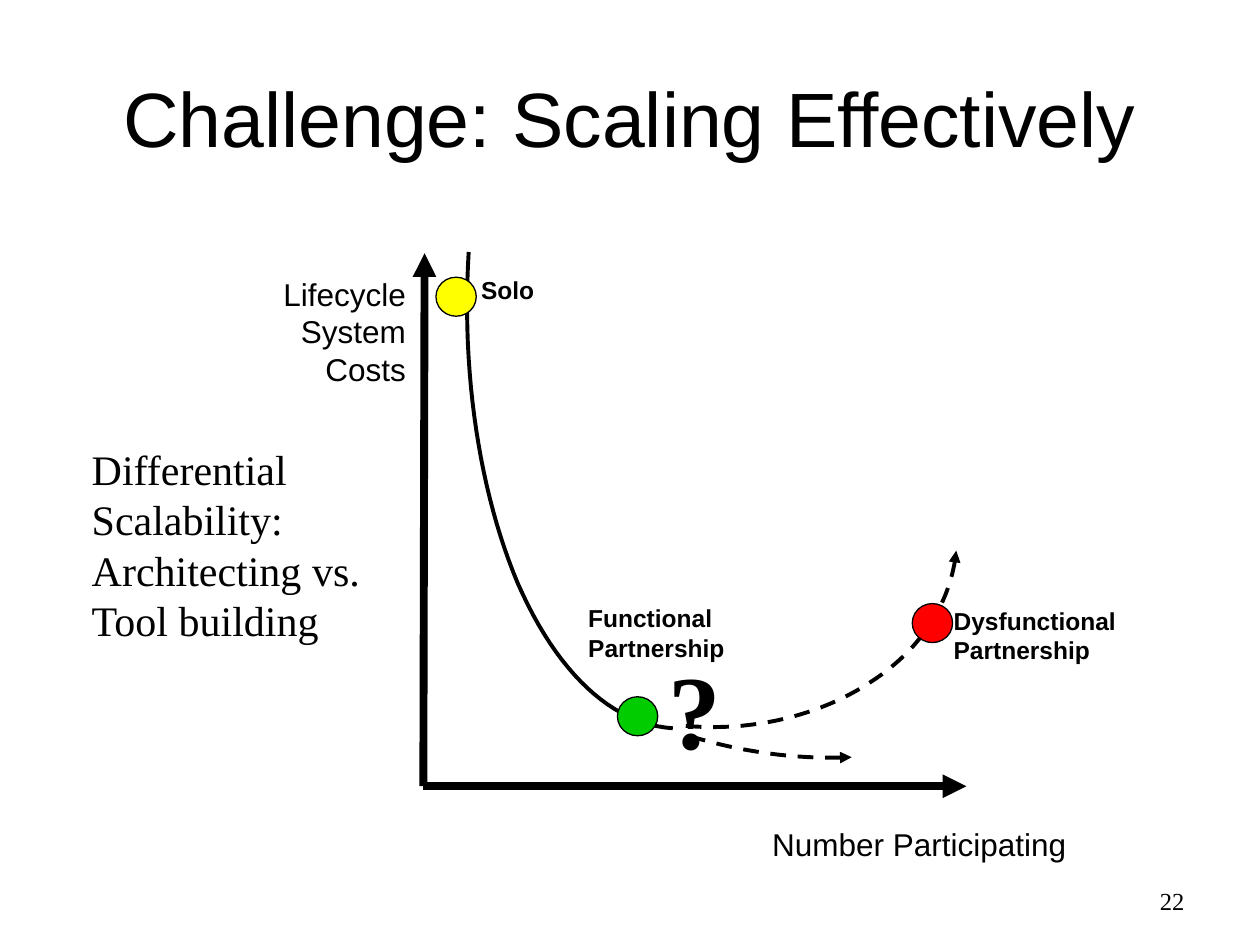
from dataclasses import dataclass

from lxml.etree import SubElement
from pptx import Presentation
from pptx.dml.color import RGBColor
from pptx.enum.dml import MSO_LINE
from pptx.enum.shapes import MSO_CONNECTOR, MSO_SHAPE
from pptx.enum.text import MSO_ANCHOR, PP_ALIGN
from pptx.oxml.ns import qn
from pptx.util import Inches, Pt


@dataclass(frozen=True)
class Theme:
    ink: RGBColor = RGBColor(0, 0, 0)
    solo: RGBColor = RGBColor(0xFF, 0xFF, 0)
    functional: RGBColor = RGBColor(0, 0xCC, 0)
    dysfunctional: RGBColor = RGBColor(0xFF, 0, 0)
    sans: str = "Arial"
    serif: str = "Times New Roman"
    title: int = 44
    mark: int = 60
    note: int = 24
    axis: int = 18
    label: int = 14
    axis_width: float = 4.5
    curve_width: float = 2.25
    dot_width: float = 0.75


def bezier(start, *segments, steps=24):
    """Sample a chain of cubic Bezier segments, each two controls and an end."""
    points = [start]
    for c1, c2, end in segments:
        for i in range(1, steps + 1):
            t = i / steps
            u = 1 - t
            points.append(tuple(
                u**3 * a + 3 * u * u * t * b + 3 * u * t * t * c + t**3 * d
                for a, b, c, d in zip(start, c1, c2, end)))
        start = end
    return points


class SlideBuilder:
    def __init__(self, prs, theme):
        self.theme = theme
        self.slide = prs.slides.add_slide(prs.slide_layouts[5])

    def title(self, text, x, y, w, h):
        sp = self.slide.shapes.title
        sp.left, sp.top, sp.width, sp.height = map(Inches, (x, y, w, h))
        tf = sp.text_frame
        tf.text = text
        tf.vertical_anchor = MSO_ANCHOR.MIDDLE
        self._format(tf.paragraphs[0], self.theme.title, self.theme.sans,
                     PP_ALIGN.CENTER)

    def text(self, lines, x, y, w, h, size, font, bold=False,
             align=PP_ALIGN.LEFT):
        box = self.slide.shapes.add_textbox(*map(Inches, (x, y, w, h)))
        tf = box.text_frame
        tf.word_wrap = False
        tf.text = "\n".join(lines)
        for p in tf.paragraphs:
            self._format(p, size, font, align, bold)

    def axis(self, start, end):
        line = self.slide.shapes.add_connector(
            MSO_CONNECTOR.STRAIGHT, *map(Inches, (*start, *end)))
        SubElement(line._element.spPr, qn("a:effectLst"))
        self._stroke(line, self.theme.axis_width)
        self._arrow(line, "a:tailEnd")

    def curve(self, points, dashed_arrow=False):
        """Draw an open curve; a dashed one has its arrowhead at the first point."""
        emu = [(Inches(x), Inches(y)) for x, y in points]
        builder = self.slide.shapes.build_freeform(*emu[0])
        builder.add_line_segments(emu[1:], close=False)
        sp = builder.convert_to_shape()
        sp.shadow.inherit = False
        sp.fill.background()
        self._stroke(sp, self.theme.curve_width)
        if dashed_arrow:
            sp.line.dash_style = MSO_LINE.DASH
            self._arrow(sp, "a:headEnd")

    def dot(self, x, y, color):
        sp = self.slide.shapes.add_shape(
            MSO_SHAPE.OVAL, *map(Inches, (x, y, 0.32, 0.31)))
        sp.shadow.inherit = False
        sp.fill.solid()
        sp.fill.fore_color.rgb = color
        self._stroke(sp, self.theme.dot_width)

    def _format(self, p, size, font, align, bold=False):
        p.alignment = align
        p.font.size = Pt(size)
        p.font.name = font
        p.font.bold = bold
        p.font.color.rgb = self.theme.ink

    def _stroke(self, sp, width):
        sp.line.color.rgb = self.theme.ink
        sp.line.width = Pt(width)

    def _arrow(self, sp, end):
        SubElement(sp.line._get_or_add_ln(), qn(end), type="triangle")


def main():
    prs = Presentation()
    prs.slide_width, prs.slide_height = Inches(10), Inches(7.5)
    theme = Theme()
    s = SlideBuilder(prs, theme)

    s.title("Challenge: Scaling Effectively", 0.5, 0.3, 9, 1.25)

    s.text(["Number Participating"], 6.03, 6.5, 2.6, 0.4,
           theme.axis, theme.sans)
    s.curve(bezier((6.76, 6.01), ((6.33, 6.03), (5.9, 5.97), (5.5, 5.85))),
            dashed_arrow=True)
    origin = (3.36, 6.24)
    s.axis(origin, (3.37, 2.01))
    s.axis(origin, (7.67, 6.24))
    s.text(["Lifecycle", "System", "Costs"], 2.12, 2.13, 1.2, 1,
           theme.axis, theme.sans, align=PP_ALIGN.RIGHT)

    s.curve(bezier((7.59, 4.37),
                   ((7.55, 4.78), (7.31, 5.16), (6.9, 5.42)),
                   ((6.5, 5.68), (5.97, 5.81), (5.43, 5.76))),
            dashed_arrow=True)
    s.curve(bezier((5.34, 5.78),
                   ((4.86, 5.75), (4.42, 5.34), (4.11, 4.63)),
                   ((3.81, 3.92), (3.66, 2.97), (3.72, 2))))

    stages = [
        ((3.46, 2.2), theme.solo, ["Solo"], (3.72, 2.13, 0.7, 0.33)),
        ((4.9, 5.53), theme.functional, ["Functional", "Partnership"],
         (4.57, 4.74, 1.4, 0.57)),
        ((7.24, 4.79), theme.dysfunctional, ["Dysfunctional", "Partnership"],
         (7.47, 4.76, 1.55, 0.57)),
    ]
    for place, color, lines, box in stages:
        s.dot(*place, color)
        s.text(lines, *box, theme.label, theme.sans, bold=True)

    s.text(["?"], 5.21, 5.07, 0.65, 1.1, theme.mark, theme.serif, bold=True)
    s.text(["Differential", "Scalability:", "Architecting vs.",
            "Tool building"], 0.63, 3.47, 2.4, 1.7, theme.note, theme.serif)
    s.text(["22"], 7.17, 6.98, 2.33, 0.52, theme.label, theme.serif,
           align=PP_ALIGN.RIGHT)

    prs.save("out.pptx")


if __name__ == "__main__":
    main()
